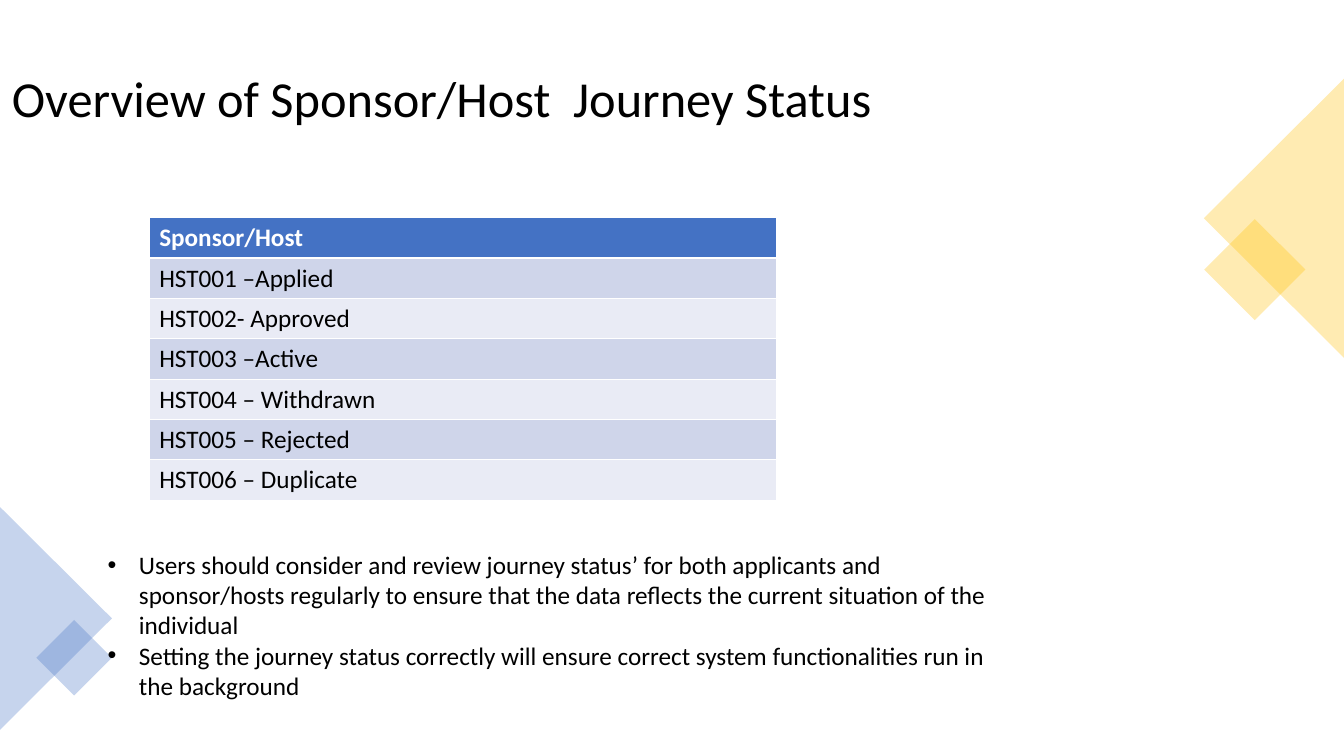
from pptx import Presentation
from pptx.dml.color import RGBColor
from pptx.enum.shapes import MSO_SHAPE
from pptx.enum.text import MSO_ANCHOR
from pptx.oxml.ns import qn
from pptx.util import Inches, Pt
from lxml import etree

SQUARE, TRIANGLE = MSO_SHAPE.RECTANGLE, MSO_SHAPE.ISOSCELES_TRIANGLE
TOP, MIDDLE = MSO_ANCHOR.TOP, MSO_ANCHOR.MIDDLE
BLACK = RGBColor(0x00, 0x00, 0x00)
WHITE = RGBColor(0xFF, 0xFF, 0xFF)
GOLD = RGBColor(0xFF, 0xC0, 0x00)
BLUE = RGBColor(0x44, 0x72, 0xC4)
BANDS = (RGBColor(0xCF, 0xD5, 0xEA), RGBColor(0xE9, 0xEB, 0xF5))

HEADING = "Overview of Sponsor/Host  Journey Status"
STATUSES = ["HST001 –Applied", "HST002- Approved", "HST003 –Active",
            "HST004 – Withdrawn", "HST005 – Rejected", "HST006 – Duplicate"]
ADVICE = [
    "Users should consider and review journey status’ for both applicants and "
    "sponsor/hosts regularly to ensure that the data reflects the current "
    "situation of the individual",
    "Setting the journey status correctly will ensure correct system "
    "functionalities run in the background",
]
DIAMONDS = [
    (SQUARE, (12.09, 2.32, 0.71, 0.71), 45, GOLD),
    (TRIANGLE, (11.25, 1.47, 2.77, 1.39), 270, GOLD),
    (TRIANGLE, (-0.55, 5.58, 2.21, 1.11), 90, BLUE),
    (SQUARE, (0.47, 6.26, 0.53, 0.53), 45, BLUE),
]


def write(paragraph, text, size=18, color=BLACK, bold=False, spacing=None,
          bullet_indent=None):
    """Put formatted text, optionally bulleted, into a paragraph."""
    run = paragraph.add_run()
    run.text = text
    font = run.font
    font.name, font.size, font.bold = "Calibri", Pt(size), bold
    font.color.rgb = color
    if spacing:
        paragraph.line_spacing = spacing
    if bullet_indent:
        properties = paragraph._p.get_or_add_pPr()
        properties.set("marL", str(Inches(bullet_indent)))
        properties.set("indent", str(-Inches(bullet_indent)))
        etree.SubElement(properties, qn("a:buFont"), typeface="Arial")
        etree.SubElement(properties, qn("a:buChar"), char="•")


class StatusSlide:
    """The current slide and the look of its elements."""

    opacity = 30
    row_height = 0.4

    def __init__(self, slide):
        """Keep the shapes of the slide to draw on."""
        self.shapes = slide.shapes

    def text(self, box, paragraphs, anchor=TOP, **style):
        """Add a wrapping text box with one paragraph per string."""
        frame = self.shapes.add_textbox(*map(Inches, box)).text_frame
        frame.word_wrap = True
        frame.vertical_anchor = anchor
        for index, content in enumerate(paragraphs):
            paragraph = frame.add_paragraph() if index else frame.paragraphs[0]
            write(paragraph, content, **style)

    def ornament(self, kind, box, rotation, color):
        """Add a rotated, translucent shape without outline."""
        shape = self.shapes.add_shape(kind, *map(Inches, box))
        shape.rotation = rotation
        shape.shadow.inherit = False
        shape.line.fill.background()
        shape.fill.solid()
        shape.fill.fore_color.rgb = color
        tint = shape.element.spPr.find(qn("a:solidFill")).find(qn("a:srgbClr"))
        etree.SubElement(tint, qn("a:alpha"), val=str(self.opacity * 1000))

    def table(self, left, top, width, header, entries):
        """Add a one-column table with a header and banded rows."""
        lines = [header, *entries]
        height = self.row_height * len(lines)
        grid = self.shapes.add_table(
            len(lines), 1, *map(Inches, (left, top, width, height))).table
        for row, content in enumerate(lines):
            cell = grid.cell(row, 0)
            cell.fill.solid()
            cell.fill.fore_color.rgb = BANDS[(row - 1) % 2] if row else BLUE
            write(cell.text_frame.paragraphs[0], content,
                  color=BLACK if row else WHITE, bold=row == 0)


def main():
    """Build the slide and save it."""
    deck = Presentation()
    deck.slide_width, deck.slide_height = Inches(13.33), Inches(7.5)
    page = StatusSlide(deck.slides.add_slide(deck.slide_layouts[6]))
    page.text((0.02, 0.38, 11.93, 1.24), [HEADING], anchor=MIDDLE, size=36,
              spacing=0.9)
    for diamond in DIAMONDS:
        page.ornament(*diamond)
    page.table(1.48, 2.16, 6.22, "Sponsor/Host", STATUSES)
    page.text((0.97, 5.4, 8.96, 1.62), ADVICE, bullet_indent=0.31)
    deck.save("out.pptx")


main()
